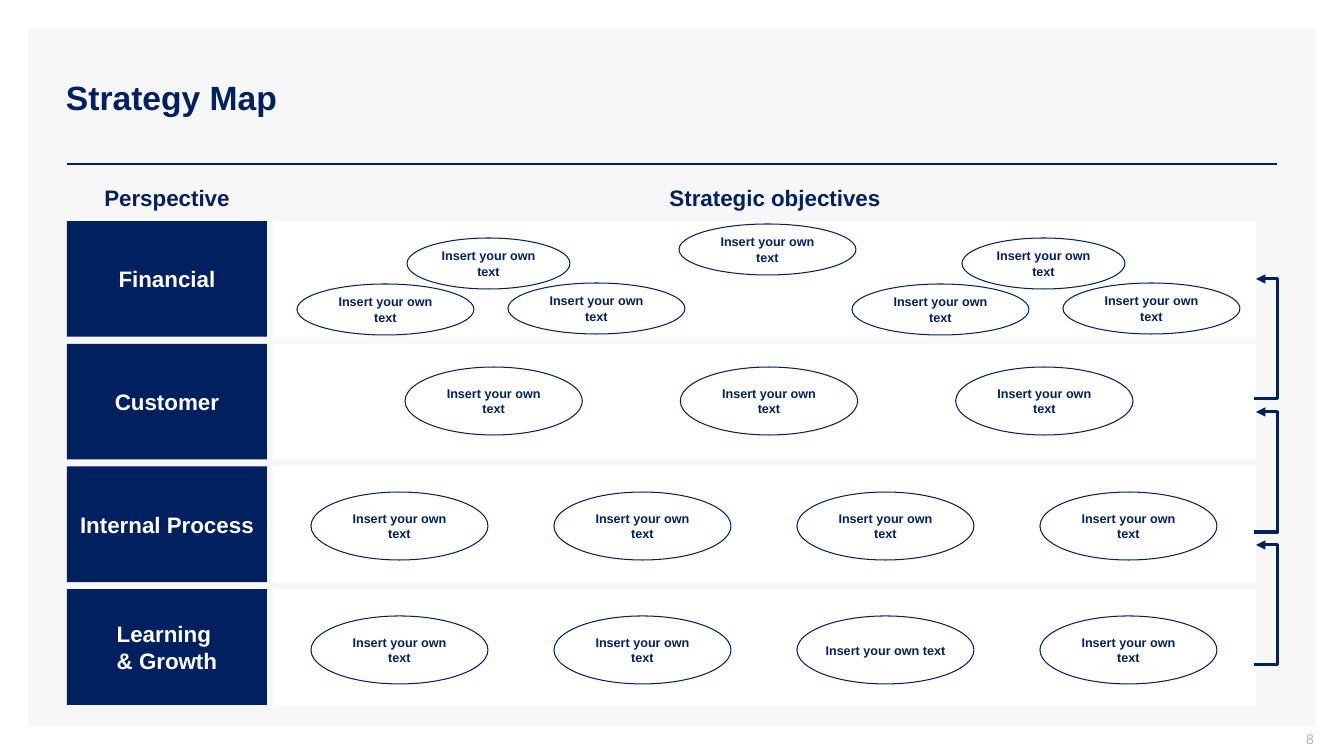
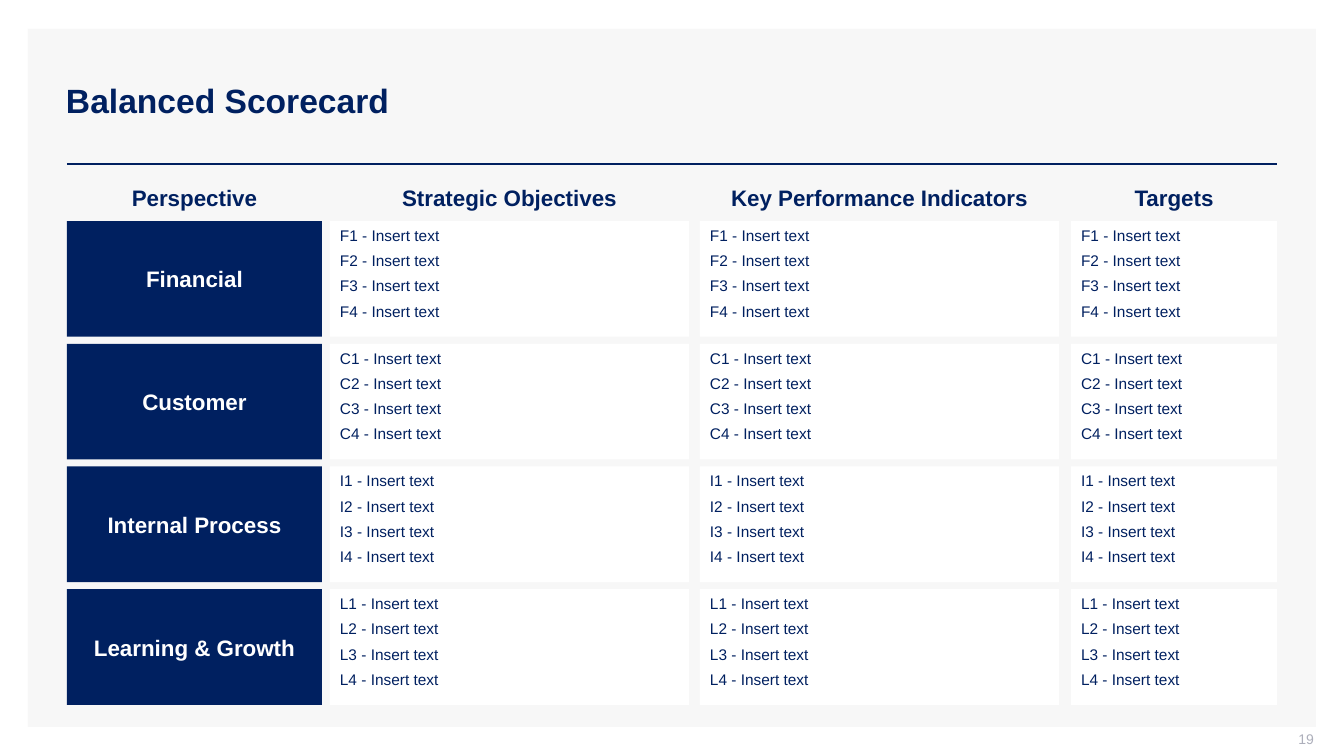
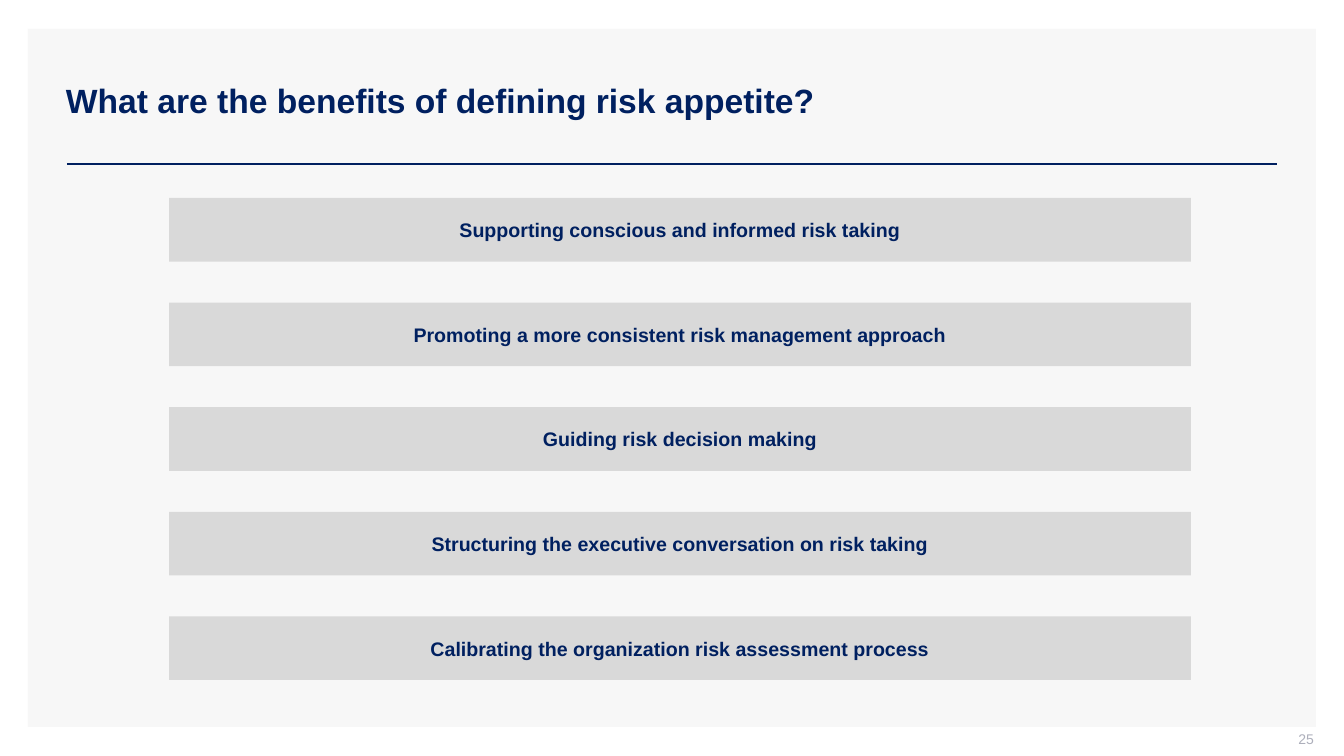
import lxml.etree
import pptx
import pptx.dml.color
import pptx.enum.shapes
import pptx.enum.text
import pptx.oxml.ns
import pptx.util

RGBColor = pptx.dml.color.RGBColor
NAVY = RGBColor(0x00, 0x20, 0x60)
WHITE = RGBColor(0xFF, 0xFF, 0xFF)
PANEL = RGBColor(0xF7, 0xF7, 0xF7)
BAR = RGBColor(0xD9, 0xD9, 0xD9)
PAGE_GREY = RGBColor(0xAD, 0xAF, 0xBB)

FONT = "Arial"
EMU_PER_PX = 914400 / 100.8
LEFT, RIGHT = 67, 1277
HEADER_TOP, HEADER_HEIGHT = 180, 36

SHAPES = pptx.enum.shapes.MSO_SHAPE
CONNECTORS = pptx.enum.shapes.MSO_CONNECTOR
ALIGN = pptx.enum.text.PP_ALIGN
ANCHOR = pptx.enum.text.MSO_ANCHOR
qn = pptx.oxml.ns.qn


def px(length):
    return pptx.util.Emu(round(length * EMU_PER_PX))


def spread(start, total, count, gap):
    size = (total - gap * (count - 1)) / count
    return [(start + index * (size + gap), size) for index in range(count)]


def write_text(text_frame, text, size=16, color=NAVY, bold=True, align=ALIGN.CENTER,
               anchor=ANCHOR.MIDDLE, margins=(10, 5, 10, 5), spacing=0, line_spacing=None):
    text_frame.word_wrap = True
    text_frame.auto_size = pptx.enum.text.MSO_AUTO_SIZE.NONE
    text_frame.vertical_anchor = anchor
    (text_frame.margin_left, text_frame.margin_top,
     text_frame.margin_right, text_frame.margin_bottom) = map(px, margins)
    text_frame.text = text
    for index, paragraph in enumerate(text_frame.paragraphs):
        paragraph.alignment = align
        paragraph.space_before = pptx.util.Pt(spacing if index else 0)
        paragraph.space_after = pptx.util.Pt(spacing)
        if line_spacing:
            paragraph.line_spacing = line_spacing
        for run in paragraph.runs:
            run.font.name = FONT
            run.font.size = pptx.util.Pt(size)
            run.font.bold = bold
            run.font.color.rgb = color


class Deck:
    def __init__(self):
        self.presentation = pptx.Presentation()
        self.presentation.slide_width = px(1344)
        self.presentation.slide_height = px(756)
        self.layout = self.presentation.slide_layouts[5]
        self.slide = None

    def new_slide(self, title, page, line_spacing=None):
        self.slide = self.presentation.slides.add_slide(self.layout)
        if len(self.presentation.slides) == 1:
            self.decorate_layout()
        heading = self.slide.shapes.title
        heading.left, heading.top, heading.width, heading.height = map(px, (56, 40, 1221, 120))
        write_text(heading.text_frame, title, size=24, align=ALIGN.LEFT,
                   line_spacing=line_spacing)
        self.label(page, 1012, 731, 302, 21, size=10, color=PAGE_GREY, bold=False,
                   align=ALIGN.RIGHT, margins=(10, 0, 0, 5))

    def decorate_layout(self):
        panel = self.box(28, 29, 1288, 698, PANEL)
        rule = self.line(CONNECTORS.STRAIGHT, LEFT, 164, RIGHT, 164, 2)
        for position, shape in enumerate((panel, rule), start=2):
            self.layout.shapes.element.insert(position, shape.element)

    def box(self, left, top, width, height, fill, text="", kind=SHAPES.RECTANGLE,
            outline=None, **text_format):
        shape = self.slide.shapes.add_shape(kind, *map(px, (left, top, width, height)))
        shape.shadow.inherit = False
        shape.fill.solid()
        shape.fill.fore_color.rgb = fill
        if outline:
            shape.line.color.rgb = NAVY
            shape.line.width = pptx.util.Pt(outline)
        else:
            shape.line.fill.background()
        if text:
            write_text(shape.text_frame, text, **text_format)
        return shape

    def ellipse(self, left, top, width, height, **text_format):
        self.box(left, top, width, height, WHITE, "Insert your own text",
                 kind=SHAPES.OVAL, outline=0.75, size=9, **text_format)

    def label(self, text, left, top, width, height, **text_format):
        text_box = self.slide.shapes.add_textbox(*map(px, (left, top, width, height)))
        write_text(text_box.text_frame, text, **text_format)

    def header(self, text, left, width):
        self.label(text, left, HEADER_TOP, width, HEADER_HEIGHT, margins=(0, 5, 0, 5))

    def line(self, kind, x1, y1, x2, y2, weight):
        connector = self.slide.shapes.add_connector(kind, *map(px, (x1, y1, x2, y2)))
        connector.line.color.rgb = NAVY
        connector.line.width = pptx.util.Pt(weight)
        lxml.etree.SubElement(connector.element.spPr, qn("a:effectLst"))
        return connector

    def loop_arrow(self, x1, y1, x2, y2, reach):
        properties = self.line(CONNECTORS.ELBOW, x1, y1, x2, y2, 2.25).element.spPr
        tail = lxml.etree.SubElement(properties.find(qn("a:ln")), qn("a:tailEnd"))
        tail.set("type", "triangle")
        geometry = properties.find(qn("a:prstGeom"))
        adjustments = geometry.find(qn("a:avLst"))
        if adjustments is None:
            adjustments = lxml.etree.SubElement(geometry, qn("a:avLst"))
        guide = lxml.etree.SubElement(adjustments, qn("a:gd"))
        guide.set("name", "adj1")
        guide.set("fmla", f"val {round(100000 * reach / (x2 - x1))}")


def strategy_map(deck, rows):
    deck.new_slide("Strategy Map", "8", line_spacing=0.9)
    perspectives = ("Financial", "Customer", "Internal Process", "Learning \n& Growth")
    deck.header("Perspective", LEFT, 200)
    deck.header("Strategic objectives", 273, 1004)
    for perspective, (top, height) in zip(perspectives, rows):
        deck.box(273, top, 983, height, WHITE)
        deck.box(LEFT, top, 200, height, NAVY, perspective, color=WHITE)

    for start in (665, 532, 399):
        deck.loop_arrow(1254, start, 1256, start - 120, 24)

    deck.ellipse(679, 224, 177, 51)
    for cluster_left in (297, 852):
        for offset, top, width in ((110, 238, 163), (0, 284, 177), (211, 283, 177)):
            deck.ellipse(cluster_left + offset, top, width, 51)

    objective_rows = ((367, 405, 728, 3, 98), (492, 311, 906, 4, 66), (616, 311, 906, 4, 66))
    for row, (top, start, total, count, gap) in enumerate(objective_rows):
        for column, (left, width) in enumerate(spread(start, total, count, gap)):
            side = 0 if (row, column) == (2, 2) else 10
            deck.ellipse(left, top, width, 68, margins=(side, 5, side, 5))


def balanced_scorecard(deck, rows):
    deck.new_slide("Balanced Scorecard", "19")
    perspectives = ("Financial", "Customer", "Internal Process", "Learning & Growth")
    columns = (("Strategic Objectives", 330, 359),
               ("Key Performance Indicators", 700, 359),
               ("Targets", 1071, 206))
    deck.header("Perspective", LEFT, 255)
    for heading, left, width in columns:
        deck.header(heading, left, width)
    for perspective, (top, height) in zip(perspectives, rows):
        deck.box(LEFT, top, 255, height, NAVY, perspective, color=WHITE)
        entries = "\n".join(f"{perspective[0]}{number} - Insert text" for number in range(1, 5))
        for heading, left, width in columns:
            deck.box(left, top, width, height, WHITE, entries, size=11, bold=False,
                     align=ALIGN.LEFT, anchor=ANCHOR.TOP, spacing=2.4)


def risk_appetite(deck):
    deck.new_slide("What are the benefits of defining risk appetite?", "25")
    benefits = ("Supporting conscious and informed risk taking",
                "Promoting a more consistent risk management approach",
                "Guiding risk decision making",
                "Structuring the executive conversation on risk taking",
                "Calibrating the organization risk assessment process")
    for benefit, (top, height) in zip(benefits, spread(198, 482, len(benefits), 41)):
        deck.box(169, top, 1022, height, BAR, benefit, size=14)


def main():
    deck = Deck()
    rows = spread(221, 484, 4, 7)
    strategy_map(deck, rows)
    balanced_scorecard(deck, rows)
    risk_appetite(deck)
    deck.presentation.save("out.pptx")


if __name__ == "__main__":
    main()
